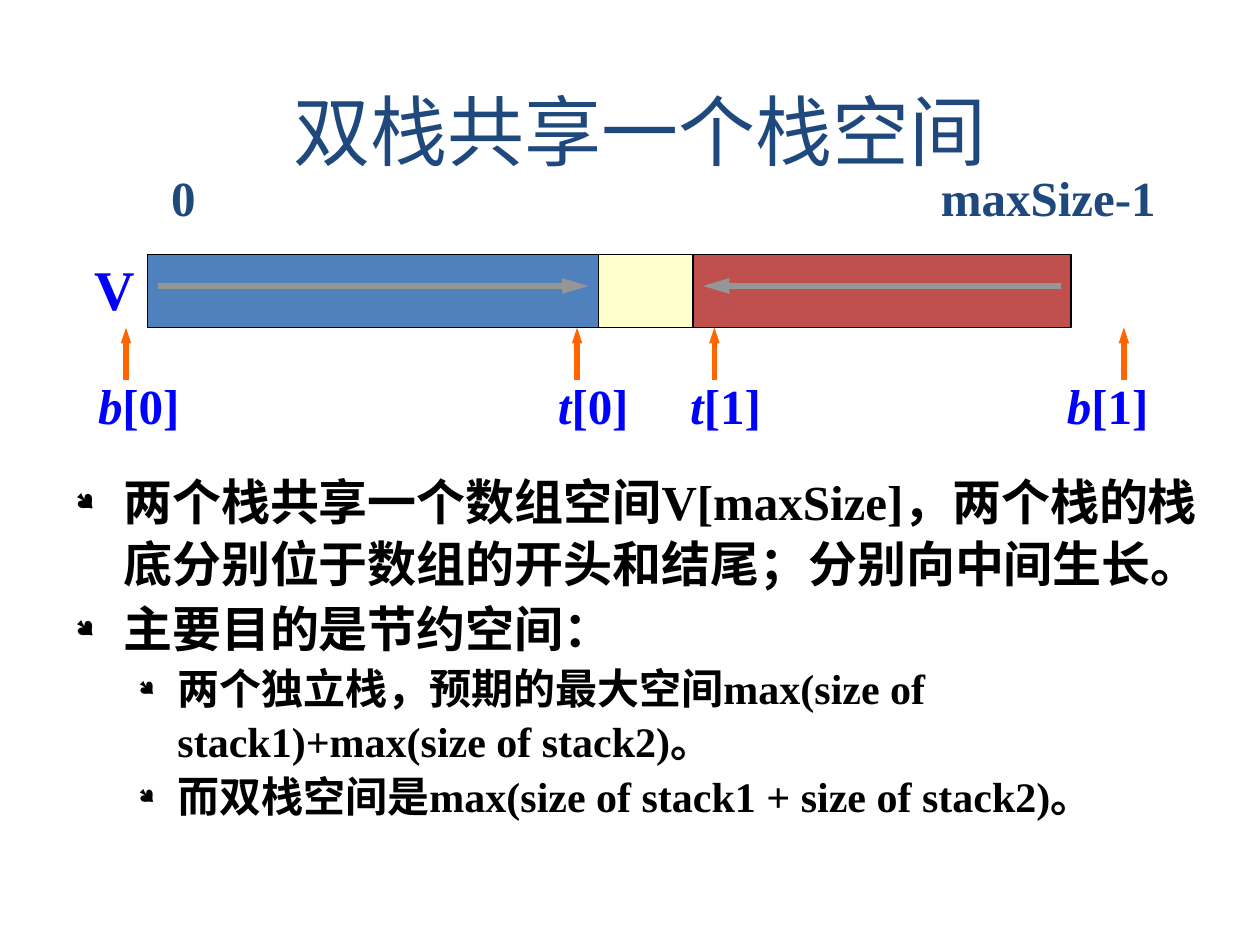
from lxml import etree
from pptx import Presentation
from pptx.dml.color import RGBColor
from pptx.enum.shapes import MSO_CONNECTOR, MSO_SHAPE
from pptx.enum.text import PP_ALIGN
from pptx.oxml.ns import qn
from pptx.util import Inches, Pt

LEFT, CENTER, RIGHT = PP_ALIGN.LEFT, PP_ALIGN.CENTER, PP_ALIGN.RIGHT
STRAIGHT, RECTANGLE = MSO_CONNECTOR.STRAIGHT, MSO_SHAPE.RECTANGLE
FONT, BULLET_FONT = "Times New Roman", "Wingdings"
NAVY, BLUE, BLACK = "1F497D", "0000FF", "000000"
ORANGE, GREY = "FF6600", "969696"
NARROW_HEAD = {"w": "sm", "len": "med"}
LONG_HEAD = {"w": "med", "len": "lg"}

TITLE = "双栈共享一个栈空间"
ARRAY_LEFT, ARRAY_TOP, ARRAY_HEIGHT = 1.17, 2.02, 0.58
CELLS = [(3.58, "4F81BD"), (0.75, "FFFFCC"), (3, "C0504D")]  # width, fill
GROWTH = [(1.25, 4.67), (8.42, 5.58)]  # start, arrow tip
GROWTH_Y = 2.27
# letter, index, label left, arrow x
POINTERS = [
    ("b", "[0]", 0.68, 1),
    ("t", "[0]", 4.33, 4.58),
    ("t", "[1]", 5.38, 5.67),
    ("b", "[1]", 8.37, 8.92),
]
POINTER_LENGTH = 0.42
# level, text
BULLETS = [
    (0, "两个栈共享一个数组空间V[maxSize]，两个栈的栈底分别位于数组的开头和结尾；分别向中间生长。"),
    (0, "主要目的是节约空间："),
    (1, "两个独立栈，预期的最大空间max(size of stack1)+max(size of stack2)。"),
    (1, "而双栈空间是max(size of stack1 + size of stack2)。"),
]
# indent, hanging, size, space before
LEVELS = [(0.38, 0.38, 28, 1.8), (0.81, 0.31, 24, 1.5)]


def color(value):
    return RGBColor.from_string(value)


def add_span(para, text, size, shade, **formats):
    span = para.add_run()
    span.text = text
    formats = {"name": FONT, "size": Pt(size), **formats}
    for name, value in formats.items():
        setattr(span.font, name, value)
    span.font.color.rgb = color(shade)


def add_frame(page, left, top, width, height):
    box = page.shapes.add_textbox(*map(Inches, (left, top, width, height)))
    box.text_frame.word_wrap = True
    return box.text_frame


def add_label(page, place, spans, size, shade, align=LEFT, bold=True):
    """Add a one-line text box; spans are (text, italic) pairs."""
    para = add_frame(page, *place).paragraphs[0]
    para.alignment = align
    for text, italic in spans:
        add_span(para, text, size, shade, bold=bold, italic=italic)
    return para


def add_arrow(page, start, end, shade, head):
    arrow = page.shapes.add_connector(STRAIGHT, *map(Inches, (*start, *end)))
    arrow.line.color.rgb = color(shade)
    arrow.line.width = Pt(3)
    etree.SubElement(arrow.line._get_or_add_ln(), qn("a:tailEnd"),
                     type="triangle", **head)
    etree.SubElement(arrow._element.spPr, qn("a:effectLst"))


def add_bullet(para, indent, hanging):
    """Add a hanging bullet and keep punctuation inside the margin."""
    props = para._p.get_or_add_pPr()
    props.set("marL", str(Inches(indent)))
    props.set("indent", str(-Inches(hanging)))
    props.set("hangingPunct", "0")
    shade = etree.SubElement(props, qn("a:buClr"))
    etree.SubElement(shade, qn("a:srgbClr"), val=BLACK)
    etree.SubElement(props, qn("a:buSzPct"), val="50000")
    etree.SubElement(props, qn("a:buFont"), typeface=BULLET_FONT, charset="2")
    etree.SubElement(props, qn("a:buChar"), char="●")


def add_array(page):
    left = ARRAY_LEFT
    for width, fill in CELLS:
        cell = page.shapes.add_shape(
            RECTANGLE, *map(Inches, (left, ARRAY_TOP, width, ARRAY_HEIGHT)))
        cell.shadow.inherit = False
        cell.fill.solid()
        cell.fill.fore_color.rgb = color(fill)
        cell.line.color.rgb = color(BLACK)
        cell.line.width = Pt(0.75)
        left += width
    for start, tip in GROWTH:
        add_arrow(page, (start, GROWTH_Y), (tip, GROWTH_Y), GREY, LONG_HEAD)


def add_pointers(page):
    tip = ARRAY_TOP + ARRAY_HEIGHT
    for letter, index, left, x in POINTERS:
        add_arrow(page, (x, tip + POINTER_LENGTH), (x, tip), ORANGE, NARROW_HEAD)
        add_label(page, (left, 2.93, 1, 0.57),
                  [(letter, True), (index, False)], 28, BLUE)


def add_body(page):
    frame = add_frame(page, 0.5, 3.67, 9.25, 3.36)
    for number, (level, text) in enumerate(BULLETS):
        para = frame.add_paragraph() if number else frame.paragraphs[0]
        indent, hanging, size, space = LEVELS[level]
        add_bullet(para, indent, hanging)
        para.level = level
        para.line_spacing = 1.05
        if number:
            para.space_before = Pt(space)
        add_span(para, text, size, BLACK, bold=True)


def main():
    deck = Presentation()
    deck.slide_width, deck.slide_height = Inches(10), Inches(7.5)
    page = deck.slides.add_slide(deck.slide_layouts[6])
    title = add_label(page, (0.58, 0.58, 9, 0.87), [(TITLE, False)],
                      44, NAVY, CENTER, bold=False)
    title.line_spacing = 1.05
    add_label(page, (1.26, 1.28, 0.5, 0.57), [("0", False)], 28, NAVY)
    add_label(page, (7.07, 1.28, 2.2, 0.57), [("maxSize-1", False)], 28, NAVY, RIGHT)
    add_label(page, (0.65, 1.97, 0.52, 0.64), [("V", False)], 32, BLUE)
    add_array(page)
    add_pointers(page)
    add_body(page)
    deck.save("out.pptx")


if __name__ == "__main__":
    main()
